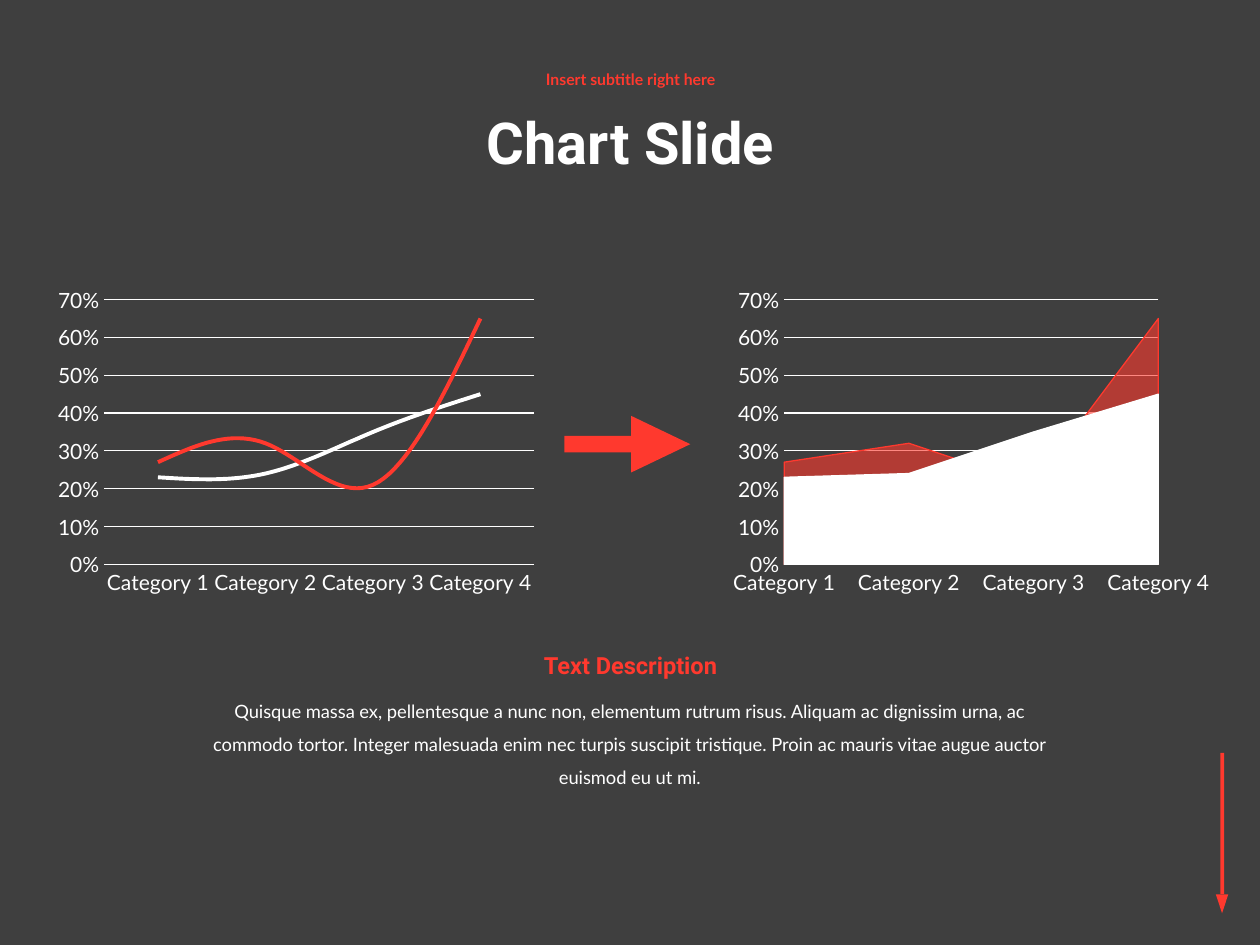
from lxml import etree
from pptx import Presentation
from pptx.chart.data import CategoryChartData
from pptx.dml.color import RGBColor
from pptx.enum.chart import XL_CHART_TYPE, XL_TICK_MARK
from pptx.enum.shapes import MSO_SHAPE
from pptx.enum.text import MSO_ANCHOR, MSO_AUTO_SIZE, PP_ALIGN
from pptx.oxml.ns import qn
from pptx.util import Cm, Pt

LINE, AREA = XL_CHART_TYPE.LINE, XL_CHART_TYPE.AREA
NO_TICK = XL_TICK_MARK.NONE
BAR, HEAD = MSO_SHAPE.RECTANGLE, MSO_SHAPE.ISOSCELES_TRIANGLE
TOP, MIDDLE = MSO_ANCHOR.TOP, MSO_ANCHOR.MIDDLE

GREY = RGBColor(0x3F, 0x3F, 0x3F)
RED = RGBColor(0xFF, 0x39, 0x2E)
WHITE = RGBColor(0xFF, 0xFF, 0xFF)

# Boxes are (left, top, width, height) in centimetres.
TITLE = ("Chart Slide", (5.56, 1.63, 14.3, 2.62), "Roboto", 33, WHITE, True, 0.9, MIDDLE)
TEXTS = [
    ("Insert subtitle right here", (5.56, 1.14, 14.3, 0.97),
     "Lato", 9, RED, True, 0.9, MIDDLE),
    ("Quisque massa ex, pellentesque a nunc non, elementum rutrum risus. "
     "Aliquam ac dignissim urna, ac commodo tortor. Integer malesuada enim nec "
     "turpis suscipit tristique. Proin ac mauris vitae augue auctor euismod eu ut mi.",
     (3.66, 13.77, 18.08, 1.52), "Lato", 10.5, WHITE, False, 1.5, TOP),
    ("Text Description", (9.93, 13, 5.56, 0.84), "Roboto", 13.5, RED, True, 1.0, TOP),
]
CATEGORIES = ["Category 1", "Category 2", "Category 3", "Category 4"]
SERIES = [
    ("Series 1", (0.23, 0.24, 0.35, 0.45), WHITE),
    ("Series 2", (0.27, 0.32, 0.21, 0.65), RED),
]
CHARTS = [(LINE, (0.97, 5.66, 10, 6.45)), (AREA, (14.58, 5.66, 10, 6.45))]
RED_OPACITY = 60
# Each arrow is a bar and a head: (shape, box, rotation).
ARROWS = [
    [(BAR, (24.6, 15.18, 0.08, 2.84), 0), (HEAD, (24.51, 18.03, 0.25, 0.38), 180)],
    [(BAR, (11.38, 8.79, 1.35, 0.33), 0), (HEAD, (12.75, 8.36, 1.14, 1.19), 90)],
]


def lengths(box):
    return [Cm(value) for value in box]


def write(shape, text, font_name, size, color, bold, spacing, anchor):
    frame = shape.text_frame
    frame.word_wrap = True
    frame.auto_size = MSO_AUTO_SIZE.NONE
    frame.vertical_anchor = anchor
    frame.text = text
    paragraph = frame.paragraphs[0]
    paragraph.alignment = PP_ALIGN.CENTER
    paragraph.line_spacing = spacing
    style(paragraph.font, font_name, size, color, bold)


def style(font, name, size, color, bold=False):
    font.name, font.size, font.bold = name, Pt(size), bold
    font.color.rgb = color


def add_arrow(page, parts):
    group = page.shapes.add_group_shape()
    for kind, box, rotation in parts:
        part = group.shapes.add_shape(kind, *lengths(box))
        part.rotation = rotation
        part.shadow.inherit = False
        part.fill.solid()
        part.fill.fore_color.rgb = RED
        part.line.fill.background()


def add_percent_chart(page, kind, box):
    data = CategoryChartData(number_format="0%")
    data.categories = CATEGORIES
    for name, values, _ in SERIES:
        data.add_series(name, values)
    chart = page.shapes.add_chart(kind, *lengths(box), data).chart
    chart.has_legend = False
    chart.has_title = False
    style(chart.font, "Lato", 10, WHITE)
    format_axes(chart)

    plot = chart.plots[0]
    plot.vary_by_categories = False
    for series, (_, _, color) in zip(plot.series, SERIES):
        series.format.line.color.rgb = color
        series.format.line.width = Pt(2.25 if kind == LINE else 0.75)
        if kind == LINE:
            series.smooth = True
        else:
            series.format.fill.solid()
            series.format.fill.fore_color.rgb = color
            if color == RED:
                fill = series.format.fill._xPr.find(qn("a:solidFill"))
                alpha = etree.SubElement(fill[0], qn("a:alpha"))
                alpha.set("val", str(RED_OPACITY * 1000))


def format_axes(chart):
    category, value = chart.category_axis, chart.value_axis
    for axis in (category, value):
        axis.major_tick_mark = axis.minor_tick_mark = NO_TICK
        style(axis.tick_labels.font, "Lato", 12, WHITE)
    category.has_major_gridlines = False
    value.has_major_gridlines = True
    for line in (category.format.line, value.major_gridlines.format.line):
        line.color.rgb = WHITE
        line.width = Pt(0.75)
    value.format.line.fill.background()
    value.minimum_scale, value.maximum_scale, value.major_unit = 0, 0.7, 0.1
    value.tick_labels.number_format = "0%"
    value.tick_labels.number_format_is_linked = False


def main():
    deck = Presentation()
    deck.slide_width, deck.slide_height = Cm(25.4), Cm(19.05)
    page = deck.slides.add_slide(deck.slide_layouts[5])
    page.background.fill.solid()
    page.background.fill.fore_color.rgb = GREY

    title = page.shapes.title
    text, box, *look = TITLE
    title.left, title.top, title.width, title.height = lengths(box)
    write(title, text, *look)

    for parts in ARROWS:
        add_arrow(page, parts)
    for kind, box in CHARTS:
        add_percent_chart(page, kind, box)
    for text, box, *look in TEXTS:
        write(page.shapes.add_textbox(*lengths(box)), text, *look)

    deck.save("out.pptx")


if __name__ == "__main__":
    main()
